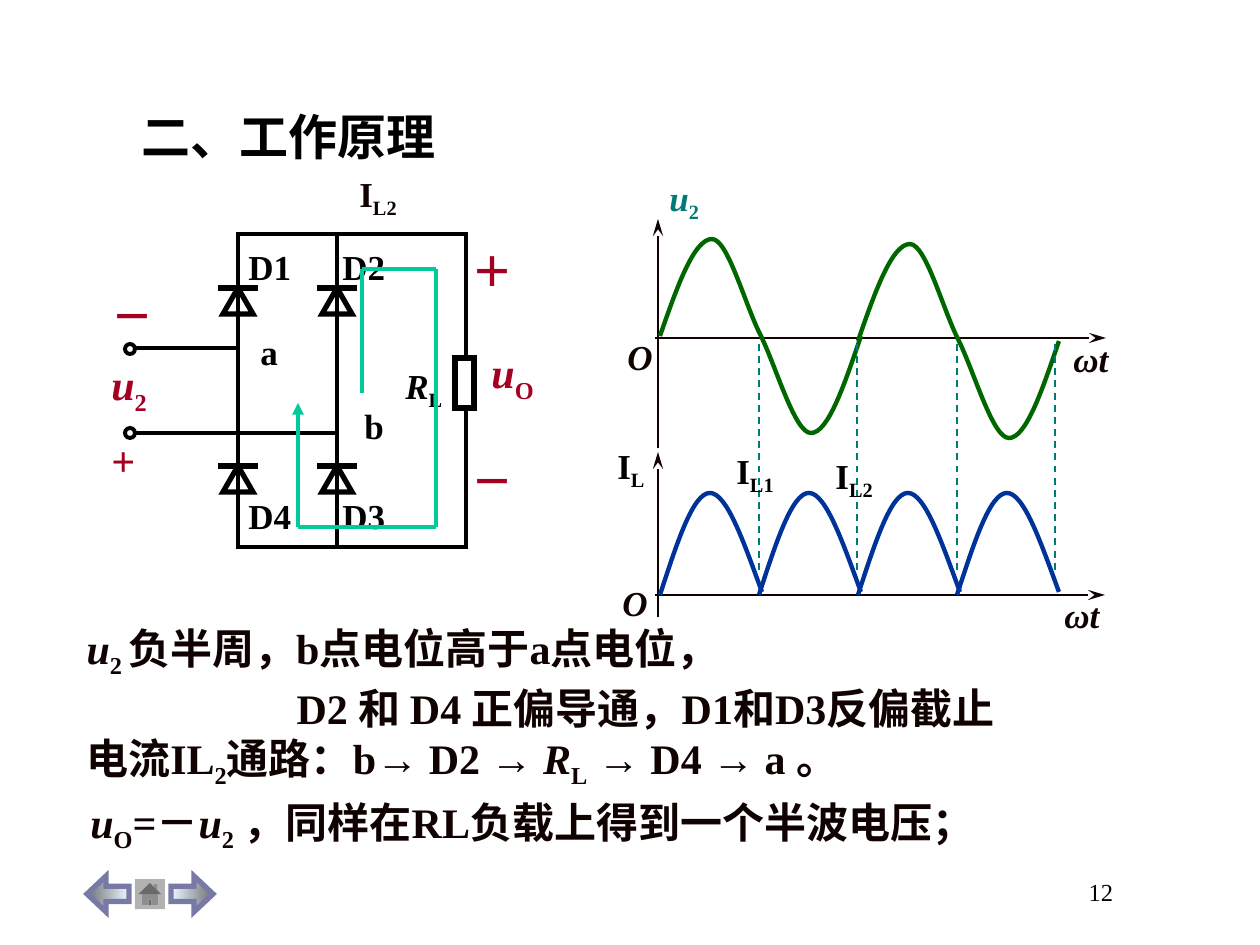
from lxml import etree
from pptx import Presentation
from pptx.dml.color import RGBColor
from pptx.enum.dml import MSO_LINE
from pptx.enum.shapes import MSO_CONNECTOR, MSO_SHAPE
from pptx.enum.text import MSO_ANCHOR, MSO_AUTO_SIZE, PP_ALIGN
from pptx.oxml.ns import qn
from pptx.util import Pt

PX = 914400 / 126
LEFT, CENTER = PP_ALIGN.LEFT, PP_ALIGN.CENTER
TOP, MIDDLE = MSO_ANCHOR.TOP, MSO_ANCHOR.MIDDLE
RECTANGLE, OVAL = MSO_SHAPE.RECTANGLE, MSO_SHAPE.OVAL
TRIANGLE, ARROW = MSO_SHAPE.ISOSCELES_TRIANGLE, MSO_SHAPE.RIGHT_ARROW
HOME = MSO_SHAPE.ACTION_BUTTON_HOME
STRAIGHT, DASH = MSO_CONNECTOR.STRAIGHT, MSO_LINE.DASH

LATIN, CJK = "Times New Roman", "Noto Sans CJK SC"
COLORS = {
    "black": "000000", "ink": "0F0201", "red": "A50021", "teal": "007A77",
    "green": "006600", "blue": "003399", "path": "00CC99", "white": "FFFFFF",
    "button": "B2B2B2", "arrow": "7979A5", "light": "EBF7FF", "dark": "6D7276",
}

TITLE = [("二、工作原理", "b")]
EXPLANATION = [
    [("u", "bi"), ("2 ", "bs"), ("负半周，b点电位高于a点电位，", "b")],
    [("D2 和 D4 正偏导通，D1和D3", "b"), ("反偏", "bc"), ("截止", "b")],
]
CURRENT_PATH = [
    ("电流", "bc"), ("IL", "b"), ("2", "bs"), ("通路：", "bc"), ("b→ D2 → ", "b"),
    ("R", "bi"), ("L", "bs"), (" → D4 → a ", "b"), ("。", "bc"),
]
OUTPUT_VOLTAGE = [
    ("u", "bi"), ("O", "bs"), ("=－", "b"), ("u", "bi"), ("2", "bs"),
    (" ，同样在", "bc"), ("RL", "b"), ("负载上得到一个半波电压；", "bc"),
]
OUTPUT_POLARITY = [[("＋", "b")], [("u", "bi"), ("O", "bs")], [("－", "b")]]
INPUT_POLARITY = [[("－", "b")], [("u", "bi"), ("2", "bs")], [("+", "b")]]
LABELS = [
    ((347, 166, 98, 60), 20, "ink", [("I", "b"), ("L2", "bs")]),
    ((657, 170, 110, 60), 20, "teal", [("u", "bi"), ("2", "bs")]),
    ((1061, 331, 110, 55), 20, "ink", [("ωt", "bi")]),
    ((615, 329, 110, 55), 20, "ink", [("O", "bi")]),
    ((1052, 587, 110, 55), 20, "ink", [("ωt", "bi")]),
    ((610, 575, 110, 55), 20, "ink", [("O", "bi")]),
    ((605, 438, 98, 60), 20, "black", [("I", "b"), ("L", "bs")]),
    ((724, 443, 98, 60), 20, "black", [("I", "b"), ("L1", "bs")]),
    ((823, 448, 98, 60), 20, "black", [("I", "b"), ("L2", "bs")]),
    ((236, 239, 170, 60), 20, "black", [("D1\tD2", "b")]),
    ((236, 488, 170, 60), 20, "black", [("D4\tD3", "b")]),
    ((393, 358, 75, 60), 20, "black", [("R", "bi"), ("L", "bs")]),
    ((248, 324, 45, 55), 20, "black", [("a", "b")]),
    ((352, 398, 45, 55), 20, "black", [("b", "b")]),
    ((74, 726, 1027, 70), 24, "ink", CURRENT_PATH),
    ((78, 790, 1000, 70), 24, "ink", OUTPUT_VOLTAGE),
]
DIODE_TAB = 94
PAGE_NUMBER = ((970, 871, 262, 42), 14, "black", [[("12", "")]])

WIRES = [(337, 234, 337, 547), (131, 433, 337, 433), (131, 348, 238, 348)]
TERMINAL_TOPS = (344, 428)
DIODE_CENTERS, DIODE_TOPS = (238, 337), (288, 466)
CURRENT_LOOP = [(362, 393), (362, 269), (436, 269), (436, 527), (298, 527), (298, 403)]
AXES = [
    (658, 448, 658, 219), (655, 338, 1106, 338),
    (658, 617, 658, 452), (655, 595, 1105, 595),
]
GUIDE_XS, GUIDE_TOP, GUIDE_BOTTOM = (759, 857, 957, 1055), 344, 571
FULL_WAVE = [
    (660, 336), (677, 287), (694, 239), (712, 239), (728, 239), (745, 305), (761, 336),
    (777, 369), (795, 433), (811, 433), (828, 433), (844, 386), (861, 336),
]
HALF_WAVE = [(660, 595), (677, 543), (693, 493), (710, 493), (727, 493), (744, 543), (762, 592)]
FULL_WAVE_SHIFTS = [(0, 0), (198, 5)]
HALF_WAVE_STEP, HALF_WAVE_COUNT = 99, 4


def emu(*lengths):
    return [round(length * PX) for length in lengths]


def color(name):
    return RGBColor.from_string(COLORS[name])


def style_line(line, name, width, dash=None, end=None):
    line.color.rgb = color(name)
    line.width = Pt(width)
    if dash:
        line.dash_style = dash
    properties = line._get_or_add_ln()
    etree.SubElement(properties, qn("a:miter"), lim="800000")
    if end:
        length = "lg" if end == "stealth" else "med"
        etree.SubElement(properties, qn("a:tailEnd"), type=end, w="med", len=length)


def add_runs(paragraph, runs, size, name):
    for text, style in runs:
        run = paragraph.add_run()
        run.text = text
        font = run.font
        font.size = Pt(size)
        font.bold = "b" in style
        font.italic = "i" in style
        font.color.rgb = color(name)
        font.name = CJK if "c" in style else LATIN
        properties = run._r.get_or_add_rPr()
        etree.SubElement(properties, qn("a:ea"), typeface=CJK)
        if "s" in style:
            properties.set("baseline", "-25000")


def fill_text(shape, box, size, name, paragraphs, gap=0, indents=(), align=LEFT, anchor=TOP):
    shape.left, shape.top, shape.width, shape.height = emu(*box)
    frame = shape.text_frame
    frame.word_wrap = True
    frame.auto_size = MSO_AUTO_SIZE.NONE
    frame.vertical_anchor = anchor
    for index, runs in enumerate(paragraphs):
        paragraph = frame.add_paragraph() if index else frame.paragraphs[0]
        paragraph.alignment = align
        paragraph.space_before = Pt(gap if index else 0)
        properties = paragraph._p.get_or_add_pPr()
        if indents:
            properties.set("marL", str(emu(indents[index])[0]))
            properties.set("indent", "0")
            etree.SubElement(properties, qn("a:buNone"))
        if any("\t" in text for text, style in runs):
            tabs = etree.SubElement(properties, qn("a:tabLst"))
            etree.SubElement(tabs, qn("a:tab"), pos=str(emu(DIODE_TAB)[0]), algn="l")
        add_runs(paragraph, runs, size, name)


def add_label(slide, box, *content, **layout):
    fill_text(slide.shapes.add_textbox(*emu(*box)), box, *content, **layout)


def add_line(slide, ends, name, width, dash=None, end=None):
    connector = slide.shapes.add_connector(STRAIGHT, *emu(*ends))
    style_line(connector.line, name, width, dash, end)
    etree.SubElement(connector._element.spPr, qn("a:effectLst"))


def add_shape(slide, kind, box, name, width, fill=None):
    shape = slide.shapes.add_shape(kind, *emu(*box))
    shape.shadow.inherit = False
    if fill:
        shape.fill.solid()
        shape.fill.fore_color.rgb = color(fill)
    else:
        shape.fill.background()
    if width:
        style_line(shape.line, name, width)
    else:
        shape.line.fill.background()
    return shape


def add_curve(slide, controls, shift, name):
    points = [emu(x + shift[0], y + shift[1]) for x, y in controls]
    builder = slide.shapes.build_freeform(*points[0])
    builder.add_line_segments(points[3::3], close=False)
    curve = builder.convert_to_shape()
    segments = list(curve._element.iter(qn("a:lnTo")))
    for index, segment in enumerate(segments):
        bezier = etree.Element(qn("a:cubicBezTo"))
        for x, y in points[3 * index + 1:3 * index + 4]:
            etree.SubElement(bezier, qn("a:pt"), x=str(x - curve.left), y=str(y - curve.top))
        segment.getparent().replace(segment, bezier)
    curve.shadow.inherit = False
    curve.fill.background()
    style_line(curve.line, name, 2.5)


def add_navigation(slide):
    for left, flipped in ((87, True), (171, False)):
        arrow = add_shape(slide, ARROW, (left, 876, 42, 36), "arrow", 3)
        arrow.adjustments[0], arrow.adjustments[1] = 0.42, 0.53
        arrow.fill.gradient()
        arrow.fill.gradient_angle = 0
        for stop, name in zip(arrow.fill.gradient_stops, ("light", "dark")):
            stop.color.rgb = color(name)
        if flipped:
            arrow._element.spPr.xfrm.set("flipH", "1")
    add_shape(slide, HOME, (135, 879, 30, 30), "button", 0, "button")


def add_circuit(slide):
    add_shape(slide, RECTANGLE, (238, 234, 228, 313), "black", 2.25)
    for wire in WIRES:
        add_line(slide, wire, "black", 2.25)
    add_shape(slide, RECTANGLE, (455, 358, 19, 50), "black", 3, "white")
    for top in TERMINAL_TOPS:
        add_shape(slide, OVAL, (125, top, 10, 10), "black", 2.25, "white")
    for x in DIODE_CENTERS:
        for y in DIODE_TOPS:
            add_line(slide, (x - 20, y, x + 20, y), "black", 3)
            add_shape(slide, TRIANGLE, (x - 15, y, 30, 26), "black", 3)


def add_waveforms(slide):
    for axis in AXES:
        add_line(slide, axis, "ink", 1.5, end="stealth")
    for shift in FULL_WAVE_SHIFTS:
        add_curve(slide, FULL_WAVE, shift, "green")
    for x in GUIDE_XS:
        add_line(slide, (x, GUIDE_TOP, x, GUIDE_BOTTOM), "teal", 1, DASH)
    for index in range(HALF_WAVE_COUNT):
        add_curve(slide, HALF_WAVE, (index * HALF_WAVE_STEP, 0), "blue")


def main():
    presentation = Presentation()
    presentation.slide_width, presentation.slide_height = emu(1260, 945)
    slide = presentation.slides.add_slide(presentation.slide_layouts[1])
    title, body = slide.placeholders
    fill_text(title, (129, 100, 546, 72), 28, "black", [TITLE])
    fill_text(body, (74, 616, 1111, 123), 24, "ink", EXPLANATION, 1.5, (0, 210))
    add_navigation(slide)
    add_circuit(slide)
    add_waveforms(slide)
    for box, size, name, runs in LABELS:
        add_label(slide, box, size, name, [runs])
    add_label(slide, (459, 239, 95, 292), 24, "red", OUTPUT_POLARITY, 29.3, (0, 20, 0))
    add_label(slide, (99, 284, 75, 208), 24, "red", INPUT_POLARITY, 10.5)
    add_label(slide, *PAGE_NUMBER, align=CENTER, anchor=MIDDLE)
    for index, (start, stop) in enumerate(zip(CURRENT_LOOP, CURRENT_LOOP[1:])):
        last = index == len(CURRENT_LOOP) - 2
        add_line(slide, start + stop, "path", 2.25, end="triangle" if last else None)
    presentation.save("out.pptx")


if __name__ == "__main__":
    main()
